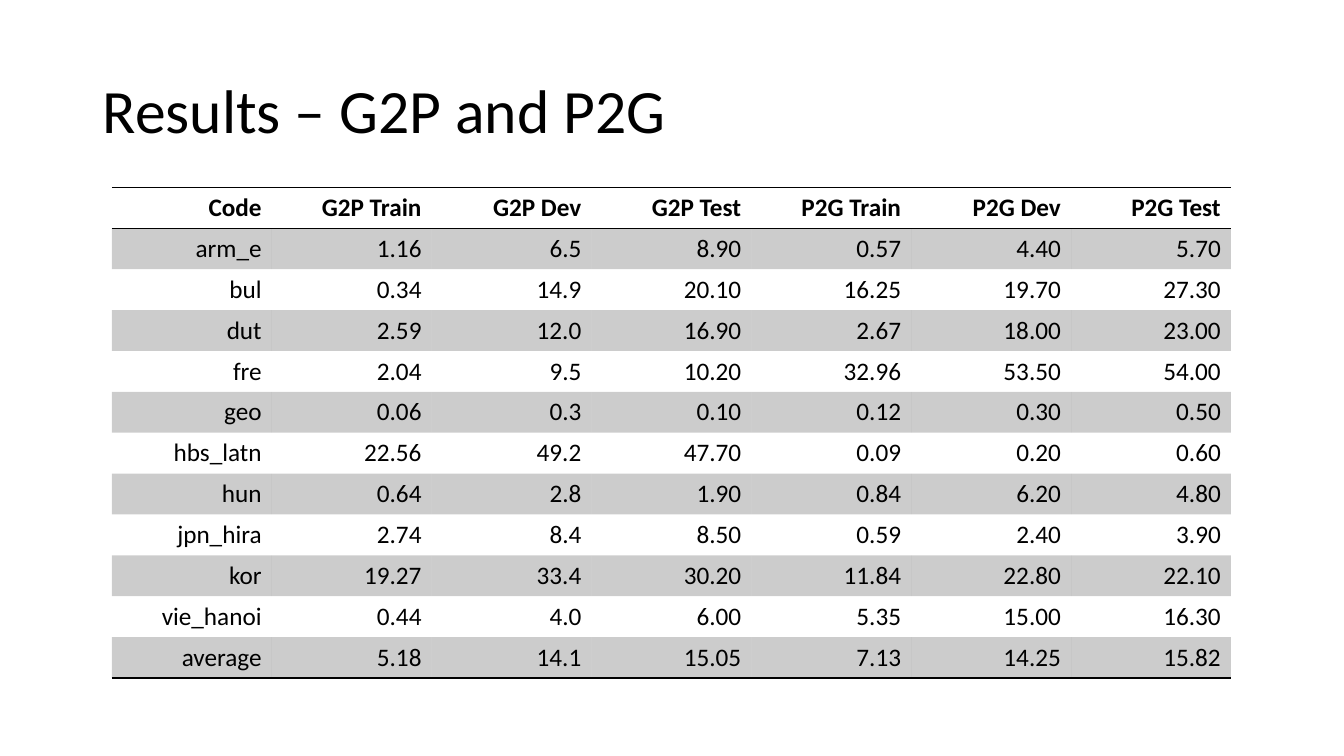
from lxml.etree import SubElement
from pptx import Presentation
from pptx.dml.color import RGBColor
from pptx.enum.text import MSO_ANCHOR as ANCHOR, PP_ALIGN as ALIGN
from pptx.oxml.ns import qn
from pptx.util import Inches, Pt

BLACK = "000000"
NO_STYLE = "{2D5ABB26-0587-4C30-8999-92F81FD0307C}"


def rgb(color):
    return RGBColor.from_string(color)


def write(tf, text, size=18, bold=False, align=ALIGN.LEFT, spacing=None):
    p = tf.paragraphs[0]
    p.alignment = align
    p.line_spacing = spacing
    r = p.add_run()
    r.text = text
    r.font.name = "Calibri"
    r.font.size = Pt(size)
    r.font.bold = bold
    r.font.color.rgb = rgb(BLACK)


prs = Presentation()
prs.slide_width = Inches(13.33)
prs.slide_height = Inches(7.5)
s = prs.slides.add_slide(prs.slide_layouts[6])

title = s.shapes.add_textbox(Inches(0.92), Inches(0.4), Inches(11.5), Inches(1.45))
tf = title.text_frame
tf.word_wrap = True
tf.vertical_anchor = ANCHOR.MIDDLE
write(tf, "Results – G2P and P2G", size=44, spacing=0.9)

results = [
    ["Code", "G2P Train", "G2P Dev", "G2P Test", "P2G Train", "P2G Dev", "P2G Test"],
    ["arm_e", "1.16", "6.5", "8.90", "0.57", "4.40", "5.70"],
    ["bul", "0.34", "14.9", "20.10", "16.25", "19.70", "27.30"],
    ["dut", "2.59", "12.0", "16.90", "2.67", "18.00", "23.00"],
    ["fre", "2.04", "9.5", "10.20", "32.96", "53.50", "54.00"],
    ["geo", "0.06", "0.3", "0.10", "0.12", "0.30", "0.50"],
    ["hbs_latn", "22.56", "49.2", "47.70", "0.09", "0.20", "0.60"],
    ["hun", "0.64", "2.8", "1.90", "0.84", "6.20", "4.80"],
    ["jpn_hira", "2.74", "8.4", "8.50", "0.59", "2.40", "3.90"],
    ["kor", "19.27", "33.4", "30.20", "11.84", "22.80", "22.10"],
    ["vie_hanoi", "0.44", "4.0", "6.00", "5.35", "15.00", "16.30"],
    ["average", "5.18", "14.1", "15.05", "7.13", "14.25", "15.82"],
]
last = len(results) - 1
borders = {0: ["a:lnT", "a:lnB"], last: ["a:lnB"]}

table = s.shapes.add_table(len(results), len(results[0]), Inches(1.11), Inches(1.86),
                           Inches(11.1), Inches(4.87)).table
table.first_row = False
table.horz_banding = False
table._tbl.tblPr.find(qn("a:tableStyleId")).text = NO_STYLE

for i, row in enumerate(results):
    for j, text in enumerate(row):
        cell = table.cell(i, j)
        cell.vertical_anchor = ANCHOR.MIDDLE
        write(cell.text_frame, text, bold=i == 0, align=ALIGN.RIGHT)
        tcPr = cell._tc.get_or_add_tcPr()
        for side in borders.get(i, []):
            ln = SubElement(tcPr, qn(side), w=str(Pt(1)))
            SubElement(SubElement(ln, qn("a:solidFill")), qn("a:srgbClr"), val=BLACK)
        if i % 2:
            cell.fill.solid()
            cell.fill.fore_color.rgb = rgb(BLACK)
            shade = tcPr.find(qn("a:solidFill")).find(qn("a:srgbClr"))
            SubElement(shade, qn("a:alpha"), val="20000")
        else:
            cell.fill.background()

prs.save("out.pptx")
